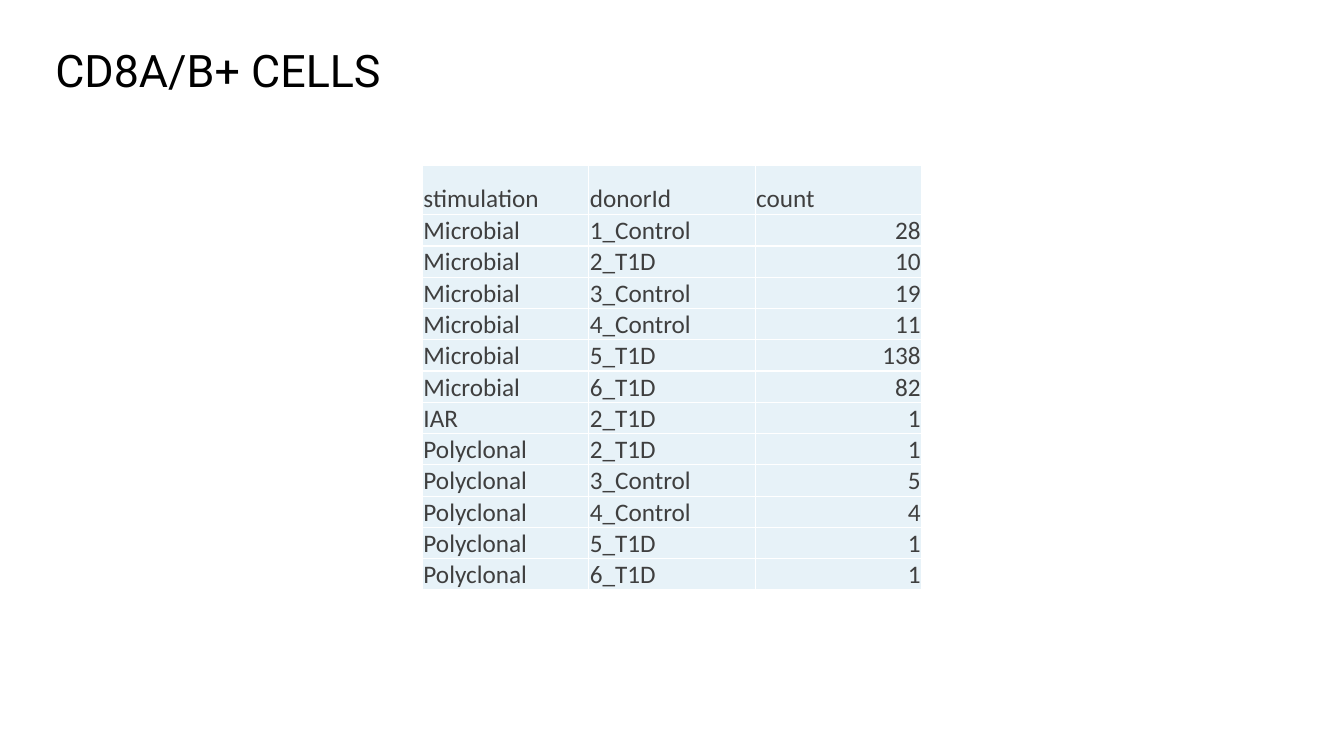
from dataclasses import dataclass

import pptx
import pptx.dml.color
import pptx.enum.text
import pptx.oxml
import pptx.oxml.ns
import pptx.util

Inches = pptx.util.Inches
Pt = pptx.util.Pt
ALIGN = pptx.enum.text.PP_ALIGN
ANCHOR = pptx.enum.text.MSO_ANCHOR

CELL_FILL = "E7F2F8"
CELL_TEXT = "3F3F3F"
BORDER = "FFFFFF"
COLUMN_WIDTH = 1.65
HEADER_HEIGHT = 0.49
ROW_HEIGHT = 0.27
TABLE_HEIGHT = 4.22


@dataclass(frozen=True)
class CellCount:
    stimulation: str
    donor: str
    count: int


HEADINGS = ("stimulation", "donorId", "count")
COUNTS = [
    CellCount("Microbial", "1_Control", 28),
    CellCount("Microbial", "2_T1D", 10),
    CellCount("Microbial", "3_Control", 19),
    CellCount("Microbial", "4_Control", 11),
    CellCount("Microbial", "5_T1D", 138),
    CellCount("Microbial", "6_T1D", 82),
    CellCount("IAR", "2_T1D", 1),
    CellCount("Polyclonal", "2_T1D", 1),
    CellCount("Polyclonal", "3_Control", 5),
    CellCount("Polyclonal", "4_Control", 4),
    CellCount("Polyclonal", "5_T1D", 1),
    CellCount("Polyclonal", "6_T1D", 1),
]


def rgb(value: str) -> pptx.dml.color.RGBColor:
    return pptx.dml.color.RGBColor.from_string(value)


def write_text(frame, text: str, *, font: str, size: float, color: str,
               align=ALIGN.LEFT, line_spacing: float = 1.0) -> None:
    paragraph = frame.paragraphs[0]
    paragraph.alignment = align
    paragraph.line_spacing = line_spacing
    run = paragraph.add_run()
    run.text = text
    run.font.name = font
    run.font.size = Pt(size)
    run.font.color.rgb = rgb(color)


def add_borders(cell, color: str, width: float) -> None:
    properties = cell._tc.get_or_add_tcPr()
    namespace = pptx.oxml.ns.nsdecls("a")
    # Border lines come before the fill in the cell properties
    for position, side in enumerate(("lnL", "lnR", "lnT", "lnB")):
        line = pptx.oxml.parse_xml(
            f'<a:{side} {namespace} w="{Pt(width)}"><a:solidFill>'
            f'<a:srgbClr val="{color}"/></a:solidFill></a:{side}>')
        properties.insert(position, line)


def fill_cell(cell, text: str, align) -> None:
    cell.fill.solid()
    cell.fill.fore_color.rgb = rgb(CELL_FILL)
    cell.vertical_anchor = ANCHOR.BOTTOM
    cell.margin_left = cell.margin_right = cell.margin_top = Inches(0.01)
    cell.margin_bottom = 0
    write_text(cell.text_frame, text, font="Calibri", size=18,
               color=CELL_TEXT, align=align)
    add_borders(cell, BORDER, 1)


def add_title(slide, text: str) -> None:
    box = slide.shapes.add_textbox(Inches(0.45), Inches(0.4),
                                   Inches(12.43), Inches(0.65))
    box.text_frame.word_wrap = True
    box.text_frame.vertical_anchor = ANCHOR.MIDDLE
    write_text(box.text_frame, text, font="Roboto", size=32,
               color="000000", line_spacing=0.9)


def add_count_table(slide, counts: list[CellCount]) -> None:
    rows = [HEADINGS] + [(c.stimulation, c.donor, c.count) for c in counts]
    shape = slide.shapes.add_table(
        len(rows), len(HEADINGS), Inches(4.19), Inches(1.64),
        Inches(COLUMN_WIDTH * len(HEADINGS)), Inches(TABLE_HEIGHT))
    table = shape.table
    for column in table.columns:
        column.width = Inches(COLUMN_WIDTH)
    for row_index, values in enumerate(rows):
        height = ROW_HEIGHT if row_index else HEADER_HEIGHT
        table.rows[row_index].height = Inches(height)
        for column_index, value in enumerate(values):
            align = ALIGN.RIGHT if isinstance(value, int) else ALIGN.LEFT
            fill_cell(table.cell(row_index, column_index), str(value), align)
    shape.height = Inches(TABLE_HEIGHT)


def main() -> None:
    presentation = pptx.Presentation()
    presentation.slide_width = Inches(13.33)
    presentation.slide_height = Inches(7.5)
    slide = presentation.slides.add_slide(presentation.slide_layouts[6])

    # Title
    add_title(slide, "CD8A/B+ CELLS")

    # Cell counts per stimulation and donor
    add_count_table(slide, COUNTS)

    presentation.save("out.pptx")


if __name__ == "__main__":
    main()
